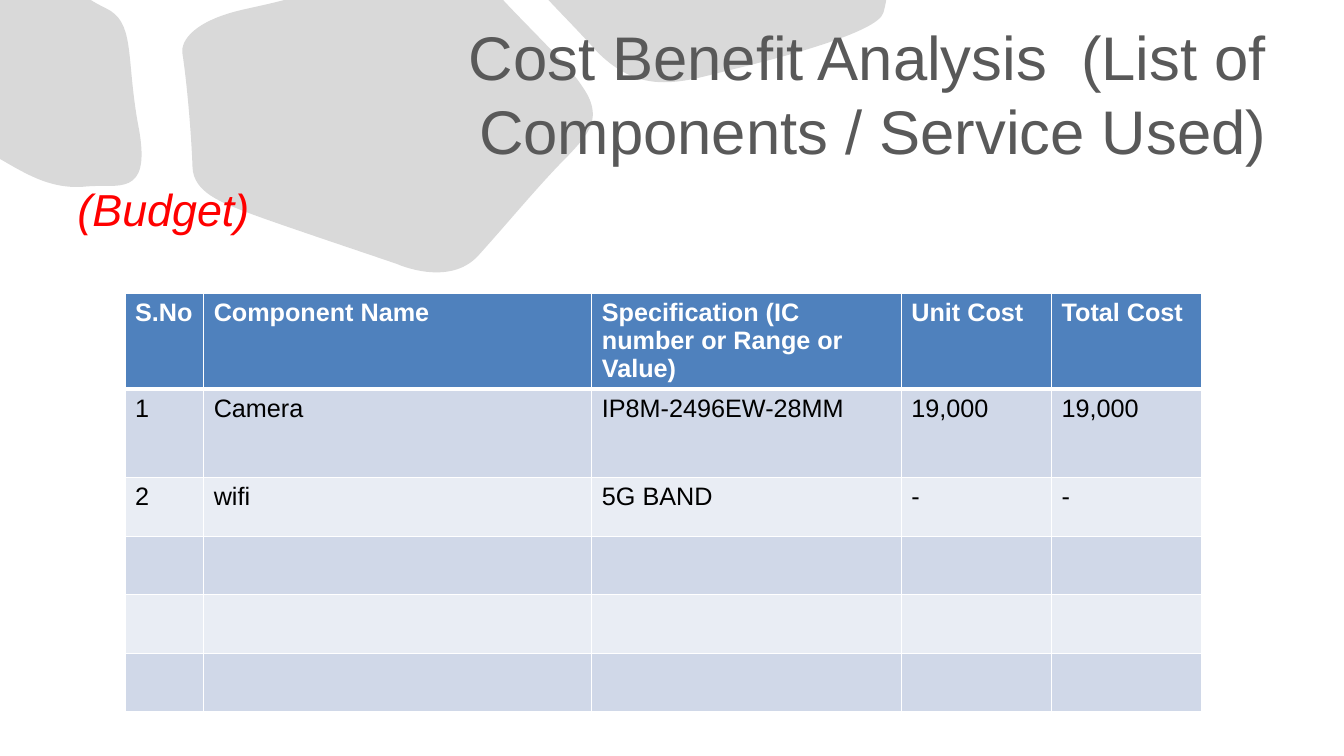
import pptx
import pptx.dml.color
import pptx.enum.text
import pptx.oxml
import pptx.oxml.ns
import pptx.util

Inches = pptx.util.Inches
Pt = pptx.util.Pt
RGBColor = pptx.dml.color.RGBColor

STONE = RGBColor(0xD9, 0xD9, 0xD9)
TITLE_GRAY = RGBColor(0x59, 0x59, 0x59)
RED = RGBColor(0xFF, 0x00, 0x00)
BLACK = RGBColor(0x00, 0x00, 0x00)
WHITE = RGBColor(0xFF, 0xFF, 0xFF)
HEADER_BLUE = RGBColor(0x4F, 0x81, 0xBD)
BAND_FILLS = (RGBColor(0xD0, 0xD8, 0xE8), RGBColor(0xE9, 0xED, 0xF4))

# Each stone has a frame (left, top, width, height) and an outline, in inches.
# In an outline a pair is a straight line, six numbers a cubic curve.
STONES = (
    ((5.44, 0, 3.34, 0.98), (
        (5.44, 0), (5.57, 0.14, 5.73, 0.3, 5.91, 0.5),
        (6.37, 0.98, 6.8, 0.8, 7.26, 0.69), (7.76, 0.57, 8.7, 0.32, 8.76, 0.13),
        (8.77, 0.1, 8.78, 0.06, 8.79, 0))),
    ((-0.03, 0, 1.53, 1.97), (
        (1.1, 0.11), (1.05, 0.08, 0.98, 0.05, 0.9, 0), (-0.03, 0), (-0.03, 1.56),
        (0.22, 1.7, 0.49, 1.89, 0.86, 1.85), (1.16, 1.82, 1.5, 1.97, 1.38, 1.29),
        (1.25, 0.62, 1.34, 0.27, 1.1, 0.11))),
    ((1.79, 0, 4.2, 2.85), (
        (4.99, 0), (2.82, 0), (2.67, 0.04, 2.52, 0.07, 2.39, 0.1),
        (1.93, 0.21, 1.79, 0.4, 1.81, 0.53), (1.86, 0.86, 1.9, 1.37, 1.91, 1.66),
        (1.92, 1.91, 2.2, 2.01, 2.46, 2.11), (2.69, 2.2, 3.71, 2.54, 3.94, 2.62),
        (3.94, 2.62, 4.45, 2.85, 4.74, 2.54), (5.03, 2.22, 5.35, 1.83, 5.62, 1.56),
        (5.85, 1.32, 5.99, 1.16, 5.77, 0.85), (5.65, 0.66, 5.23, 0.26, 4.99, 0))),
)

COLUMN_WIDTHS = (0.78, 3.85, 3.07, 1.49, 1.49)
ROW_HEIGHTS = (0.48, 0.88, 0.58, 0.58, 0.58, 0.58)
BUDGET = (
    ("S.No", "Component Name", "Specification (IC number or Range or Value)",
     "Unit Cost", "Total Cost"),
    ("1", "Camera", "IP8M-2496EW-28MM", "19,000", "19,000"),
    ("2", "wifi", "5G BAND", "-", "-"),
)


def format_font(font, color, **values):
    for name, value in {"name": "Arial", **values}.items():
        setattr(font, name, value)
    font.color.rgb = color


def place(shape, left, top, width, height):
    shape.left, shape.top = Inches(left), Inches(top)
    shape.width, shape.height = Inches(width), Inches(height)


def curve_outline(shape, frame, outline):
    """Give a freeform the frame and turn its curved sides into cubic curves."""
    place(shape, *frame)
    path = shape._element.find(".//" + pptx.oxml.ns.qn("a:path"))
    path.set("w", str(shape.width))
    path.set("h", str(shape.height))
    for command, segment in zip(list(path), outline):
        tag = "cubicBezTo" if len(segment) == 6 else (
            "moveTo" if segment is outline[0] else "lnTo")
        points = "".join(
            f'<a:pt x="{Inches(x) - shape.left}" y="{Inches(y) - shape.top}"/>'
            for x, y in zip(segment[::2], segment[1::2]))
        path.replace(command, pptx.oxml.parse_xml(
            f'<a:{tag} {pptx.oxml.ns.nsdecls("a")}>{points}</a:{tag}>'))


def add_stone(slide, frame, outline):
    corners = [(Inches(segment[-2]), Inches(segment[-1])) for segment in outline]
    builder = slide.shapes.build_freeform(*corners[0])
    builder.add_line_segments(corners[1:], close=True)
    stone = builder.convert_to_shape()
    curve_outline(stone, frame, outline)
    stone.shadow.inherit = False
    stone.fill.solid()
    stone.fill.fore_color.rgb = STONE
    stone.line.fill.background()


def place_title(title):
    place(title, 0.67, 0.3, 12, 1.25)
    frame = title.text_frame
    frame.text = "Cost Benefit Analysis  (List of Components / Service Used)"
    frame.word_wrap = True
    frame.auto_size = pptx.enum.text.MSO_AUTO_SIZE.NONE
    frame.vertical_anchor = pptx.enum.text.MSO_ANCHOR.MIDDLE
    frame.margin_left = Inches(1)
    paragraph = frame.paragraphs[0]
    paragraph.alignment = pptx.enum.text.PP_ALIGN.RIGHT
    format_font(paragraph.font, TITLE_GRAY, size=Pt(44))
    # Bring the title in front of the stones.
    title.element.getparent().append(title.element)


def add_subtitle(slide):
    box = slide.shapes.add_textbox(Inches(0.67), Inches(1.75), Inches(12), Inches(4.95))
    frame = box.text_frame
    frame.word_wrap = True
    frame.text = "(Budget)"
    paragraph = frame.paragraphs[0]
    properties = paragraph._p.get_or_add_pPr()
    properties.set("marL", str(Inches(0.38)))
    properties.set("indent", str(-Inches(0.38)))
    format_font(paragraph.font, RED, size=Pt(32), italic=True)


def set_borders(cell, widths):
    """Draw white borders; widths maps a side letter to points."""
    properties = cell._tc.get_or_add_tcPr()
    for side, width in widths.items():
        properties.append(pptx.oxml.parse_xml(
            f'<a:ln{side} {pptx.oxml.ns.nsdecls("a")} w="{Pt(width)}">'
            f'<a:solidFill><a:srgbClr val="{WHITE}"/></a:solidFill></a:ln{side}>'))


def add_budget_table(slide):
    table = slide.shapes.add_table(
        len(ROW_HEIGHTS), len(COLUMN_WIDTHS), Inches(1.24), Inches(2.91),
        Inches(sum(COLUMN_WIDTHS)), Inches(sum(ROW_HEIGHTS))).table
    for column, width in zip(table.columns, COLUMN_WIDTHS):
        column.width = Inches(width)
    for row_index, height in enumerate(ROW_HEIGHTS):
        row = table.rows[row_index]
        row.height = Inches(height)
        header = row_index == 0
        fill = HEADER_BLUE if header else BAND_FILLS[(row_index - 1) % 2]
        texts = BUDGET[row_index] if row_index < len(BUDGET) else [""] * len(COLUMN_WIDTHS)
        for cell, text in zip(row.cells, texts):
            set_borders(cell, {"L": 1, "R": 1, "T": 3 if row_index == 1 else 1,
                               "B": 3 if header else 1})
            cell.fill.solid()
            cell.fill.fore_color.rgb = fill
            if header:
                cell.margin_bottom = 0
            if text:
                cell.text = text
                format_font(cell.text_frame.paragraphs[0].font,
                            WHITE if header else BLACK, size=Pt(18), bold=header)


def main():
    deck = pptx.Presentation()
    deck.slide_width, deck.slide_height = Inches(13.33), Inches(7.5)
    slide = deck.slides.add_slide(deck.slide_layouts.get_by_name("Title Only"))
    for frame, outline in STONES:
        add_stone(slide, frame, outline)
    place_title(slide.shapes.title)
    add_subtitle(slide)
    add_budget_table(slide)
    deck.save("out.pptx")


if __name__ == "__main__":
    main()
